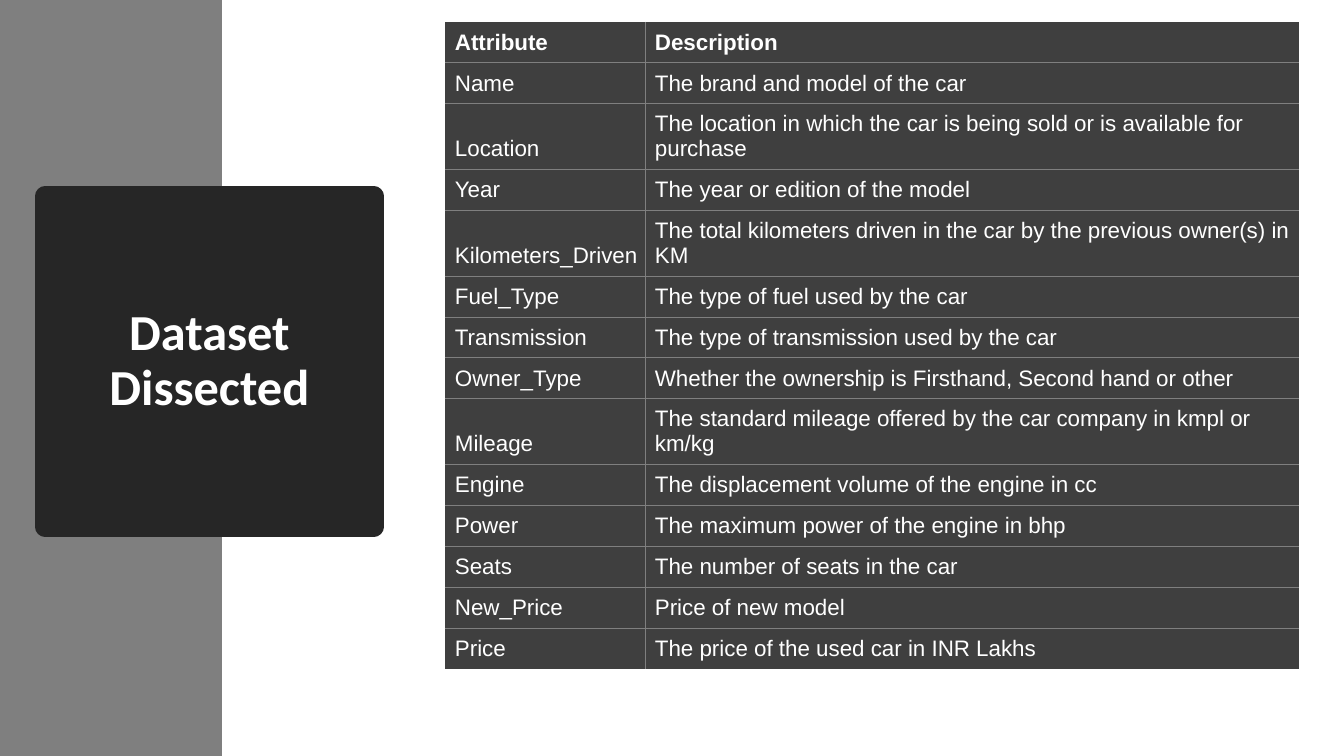
from lxml import etree
from pptx import Presentation
from pptx.dml.color import RGBColor
from pptx.enum.shapes import MSO_SHAPE
from pptx.enum.text import MSO_ANCHOR, PP_ALIGN
from pptx.oxml.ns import qn
from pptx.util import Emu, Pt

RECTANGLE = MSO_SHAPE.RECTANGLE
MIDDLE, BOTTOM = MSO_ANCHOR.MIDDLE, MSO_ANCHOR.BOTTOM
LEFT, CENTER = PP_ALIGN.LEFT, PP_ALIGN.CENTER

TITLE = "Dataset Dissected"
ROWS = [
    ("Attribute", "Description"),
    ("Name", "The brand and model of the car"),
    ("Location", "The location in which the car is being sold or is available for purchase"),
    ("Year", "The year or edition of the model"),
    ("Kilometers_Driven", "The total kilometers driven in the car by the previous owner(s) in KM"),
    ("Fuel_Type", "The type of fuel used by the car"),
    ("Transmission", "The type of transmission used by the car"),
    ("Owner_Type", "Whether the ownership is Firsthand, Second hand or other"),
    ("Mileage", "The standard mileage offered by the car company in kmpl or km/kg"),
    ("Engine", "The displacement volume of the engine in cc"),
    ("Power", "The maximum power of the engine in bhp"),
    ("Seats", "The number of seats in the car"),
    ("New_Price", "Price of new model"),
    ("Price", "The price of the used car in INR Lakhs"),
]

THEME = {
    "band": "7F7F7F", "card": "262626", "cell": "3F3F3F", "rule": "7F7F7F", "text": "FFFFFF",
    "title_font": "Calibri", "table_font": "Arial",
    "title_size": 36, "table_size": 16, "rule_width": 0.75, "card_line": 13.75,
}
PAGE_WIDTH, PAGE_HEIGHT = 1344, 756
BAND = (0, 0, 222, PAGE_HEIGHT)
CARD = (45, 196, 329, 331)
TABLE_LEFT, TABLE_TOP = 445, 22
COLUMN_WIDTHS = (200, 654)
ROW_HEIGHT = 37
CARD_INSETS = (10, 5, 10, 5)
CELL_INSETS = (10, 8, 1, 8)


def px(length):
    return Emu(round(length * 914400 / 100.8))


def color(name):
    return RGBColor.from_string(THEME[name])


def write(holder, text, *, font, size, bold=False, align=LEFT, spacing=None):
    para = holder.text_frame.paragraphs[0]
    para.alignment = align
    para.line_spacing = spacing
    span = para.add_run()
    span.text = text
    span.font.name = THEME[font]
    span.font.size = Pt(THEME[size])
    span.font.bold = bold
    span.font.color.rgb = color("text")


def set_insets(holder, insets, anchor):
    holder.margin_left, holder.margin_top, holder.margin_right, holder.margin_bottom = map(px, insets)
    holder.vertical_anchor = anchor


def add_panel(page, bounds, fill):
    panel = page.shapes.add_shape(RECTANGLE, *map(px, bounds))
    panel.shadow.inherit = False
    panel.fill.solid()
    panel.fill.fore_color.rgb = color(fill)
    panel.line.fill.background()
    return panel


def add_card(page):
    card = add_panel(page, CARD, "card")
    card.line.color.rgb = color("card")
    card.line.width = Pt(THEME["card_line"])
    etree.SubElement(card.element.spPr.find(qn("a:ln")), qn("a:round"))
    card.text_frame.word_wrap = True
    set_insets(card.text_frame, CARD_INSETS, MIDDLE)
    write(card, TITLE, font="title_font", size="title_size", bold=True, align=CENTER, spacing=0.9)


def set_borders(cell, visible):
    properties = cell._tc.get_or_add_tcPr()
    for side, shown in visible.items():
        border = etree.SubElement(properties, qn("a:ln" + side), w=str(Pt(THEME["rule_width"])))
        if shown:
            fill = etree.SubElement(border, qn("a:solidFill"))
            etree.SubElement(fill, qn("a:srgbClr"), val=THEME["rule"])
        else:
            etree.SubElement(border, qn("a:noFill"))


def add_attribute_table(page):
    bounds = (TABLE_LEFT, TABLE_TOP, sum(COLUMN_WIDTHS), ROW_HEIGHT * len(ROWS))
    table = page.shapes.add_table(len(ROWS), len(COLUMN_WIDTHS), *map(px, bounds)).table
    table.horz_banding = False
    for column, width in zip(table.columns, COLUMN_WIDTHS):
        column.width = px(width)
    last_row, last_column = len(ROWS) - 1, len(COLUMN_WIDTHS) - 1
    for row, texts in enumerate(ROWS):
        table.rows[row].height = px(ROW_HEIGHT)
        for column, text in enumerate(texts):
            cell = table.cell(row, column)
            set_insets(cell, CELL_INSETS, BOTTOM)
            set_borders(cell, {"L": column > 0, "R": column < last_column,
                               "T": row > 0, "B": row < last_row})
            cell.fill.solid()
            cell.fill.fore_color.rgb = color("cell")
            write(cell, text, font="table_font", size="table_size", bold=row == 0)


def main():
    deck = Presentation()
    deck.slide_width, deck.slide_height = px(PAGE_WIDTH), px(PAGE_HEIGHT)
    page = deck.slides.add_slide(deck.slide_layouts[6])
    add_panel(page, BAND, "band")
    add_card(page)
    add_attribute_table(page)
    deck.save("out.pptx")


if __name__ == "__main__":
    main()
